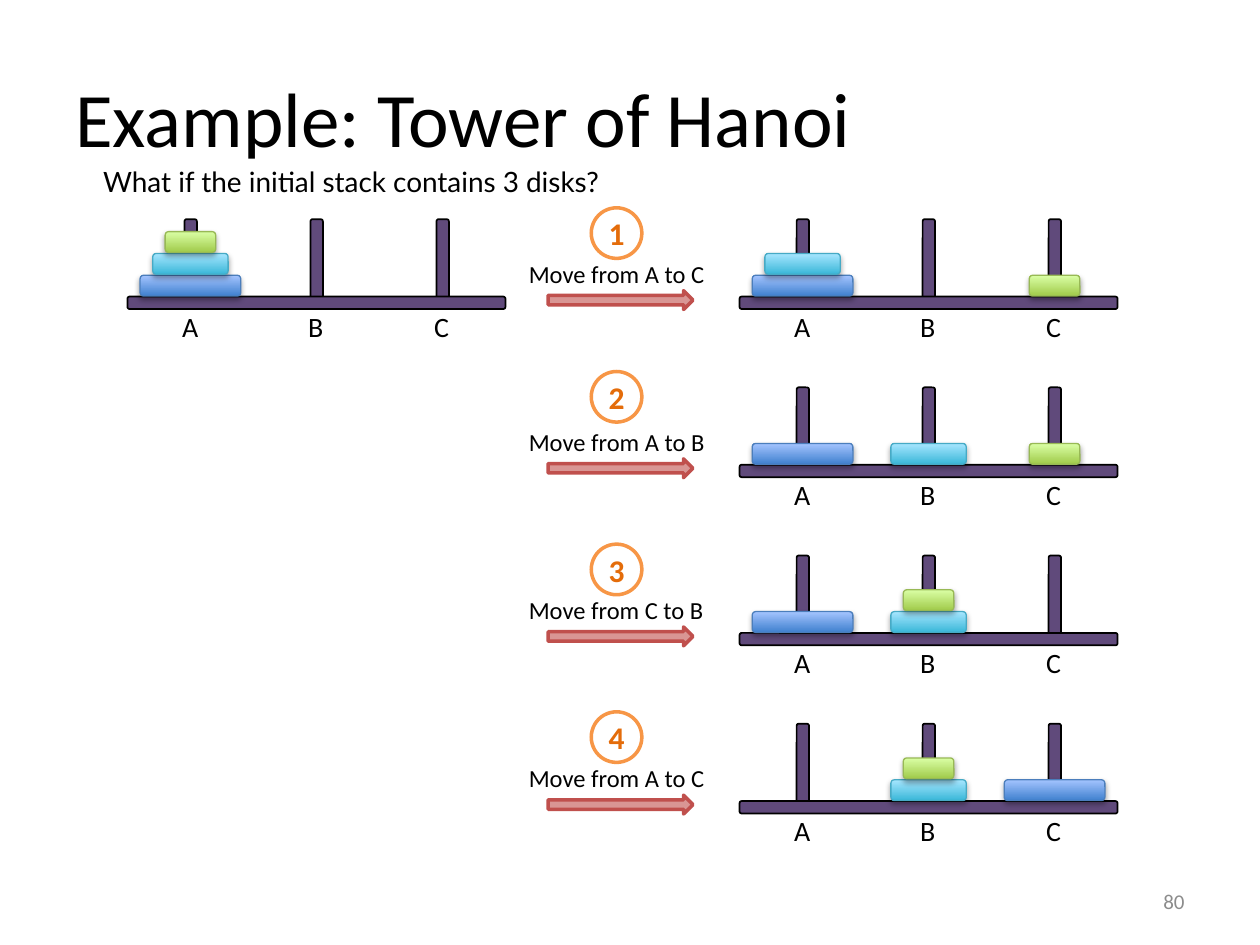
"""Build the Tower of Hanoi slide: a three-disk start and its first four moves."""
from lxml.etree import SubElement
from pptx import Presentation
from pptx.dml.color import RGBColor
from pptx.enum.shapes import MSO_SHAPE
from pptx.enum.text import MSO_ANCHOR, PP_ALIGN
from pptx.oxml.ns import qn
from pptx.util import Cm, Pt

DISKS = {
    "large": (2.03, "3F80CE", "A4C4FF", "4B7EBC"),
    "medium": (1.52, "39B7D8", "A7E6FF", "46AAC5"),
    "small": (1.02, "A0CA4A", "DAFFA5", "98B955"),
}
START_LEFT, RESULT_LEFT = 2.57, 14.91
FIRST_BASE, ROW_PITCH = 5.98, 3.39
PEG_OFFSET, PEG_PITCH = 1.27, 2.54
DISK_HEIGHT, DISK_PITCH = 0.42, 0.44

MOVES = [
    ("Move from A to C", 4.19, [["large", "medium"], [], ["small"]]),
    ("Move from A to B", 7.49, [["large"], ["medium"], ["small"]]),
    ("Move from C to B", 10.97, [["large"], ["medium", "small"], []]),
    ("Move from A to C", 14.35, [[], ["medium", "small"], ["large"]]),
]


def add_figure(kind, left, top, width, height, fill, line, weight):
    shape = page.shapes.add_shape(kind, Cm(left), Cm(top), Cm(width), Cm(height))
    shape.shadow.inherit = False
    if fill:
        shape.fill.solid()
        shape.fill.fore_color.rgb = RGBColor.from_string(fill)
    else:
        shape.fill.background()
    shape.line.color.rgb = RGBColor.from_string(line)
    shape.line.width = Pt(weight)
    return shape


def add_words(text, left, top, width, height, size, color="000000", font="Calibri",
              wrap=False, anchor=MSO_ANCHOR.TOP, align=PP_ALIGN.LEFT):
    box = page.shapes.add_textbox(Cm(left), Cm(top), Cm(width), Cm(height))
    box.text_frame.word_wrap = wrap
    box.text_frame.vertical_anchor = anchor
    para = box.text_frame.paragraphs[0]
    para.text = text
    para.alignment = align
    para.font.size = Pt(size)
    para.font.name = font
    para.font.color.rgb = RGBColor.from_string(color)
    return box


deck = Presentation()
deck.slide_width, deck.slide_height = Cm(25.4), Cm(19.05)
page = deck.slides.add_slide(deck.slide_layouts[6])

add_words("Example: Tower of Hanoi", 1.27, 0.76, 22.86, 3.18, 44,
          wrap=True, anchor=MSO_ANCHOR.MIDDLE)
add_words("80", 18.2, 17.65, 5.93, 1.02, 12, "8C8C8C",
          wrap=True, anchor=MSO_ANCHOR.MIDDLE, align=PP_ALIGN.RIGHT)
question = add_words("What if the initial stack contains 3 disks?",
                     1.83, 3.2, 12.5, 0.94, 16, font="Lato")
question.fill.solid()
question.fill.fore_color.rgb = RGBColor.from_string("FFFFFF")

boards = [(START_LEFT, FIRST_BASE, [["large", "medium", "small"], [], []])]
for row, (move, circle_top, stacks) in enumerate(MOVES):
    base = FIRST_BASE + row * ROW_PITCH
    boards.append((RESULT_LEFT, base, stacks))
    add_figure(MSO_SHAPE.RIGHT_ARROW, 11.05, base - 0.12, 2.92, 0.38, "D99694", "C0504D", 2)
    add_words(move, 10.41, base - 0.89, 4.09, 0.86, 14)

    circle = add_figure(MSO_SHAPE.OVAL, 11.92, circle_top, 1.02, 1.02, None, "F79646", 2)
    frame = circle.text_frame
    frame.margin_left = frame.margin_right = frame.margin_top = frame.margin_bottom = 0
    frame.word_wrap = False
    frame.vertical_anchor = MSO_ANCHOR.MIDDLE
    para = frame.paragraphs[0]
    para.text = str(row + 1)
    para.alignment = PP_ALIGN.CENTER
    para.font.size = Pt(18)
    para.font.name = "Calibri"
    para.font.bold = True
    para.font.color.rgb = RGBColor.from_string("E46C0A")

for left, base, stacks in boards:
    centers = [left + PEG_OFFSET + peg * PEG_PITCH for peg in range(3)]
    for label, center in zip("ABC", centers):
        add_words(label, center - 0.42, base + 0.13, 0.84, 0.94, 16)
        add_figure(MSO_SHAPE.ROUNDED_RECTANGLE, center - 0.12, base - 1.56, 0.25, 1.78,
                   "604A7B", "000000", 1)
    add_figure(MSO_SHAPE.ROUNDED_RECTANGLE, left, base, 7.62, 0.25, "604A7B", "000000", 1)

    for center, stack in zip(centers, stacks):
        for level, name in enumerate(stack):
            width, dark, light, outline = DISKS[name]
            disk = add_figure(MSO_SHAPE.ROUNDED_RECTANGLE, center - width / 2,
                              base - 0.43 - level * DISK_PITCH, width, DISK_HEIGHT,
                              dark, outline, 0.75)
            disk.fill.gradient()
            disk.fill.gradient_angle = 90
            for stop, color in zip(disk.fill.gradient_stops, (dark, light)):
                stop.color.rgb = RGBColor.from_string(color)
            effects = disk.element.spPr.find(qn("a:effectLst"))
            shadow = SubElement(effects, qn("a:outerShdw"), blurRad="40000", dist="23000",
                                dir="5400000", rotWithShape="0")
            tint = SubElement(shadow, qn("a:srgbClr"), val="000000")
            SubElement(tint, qn("a:alpha"), val="35000")

deck.save("out.pptx")
